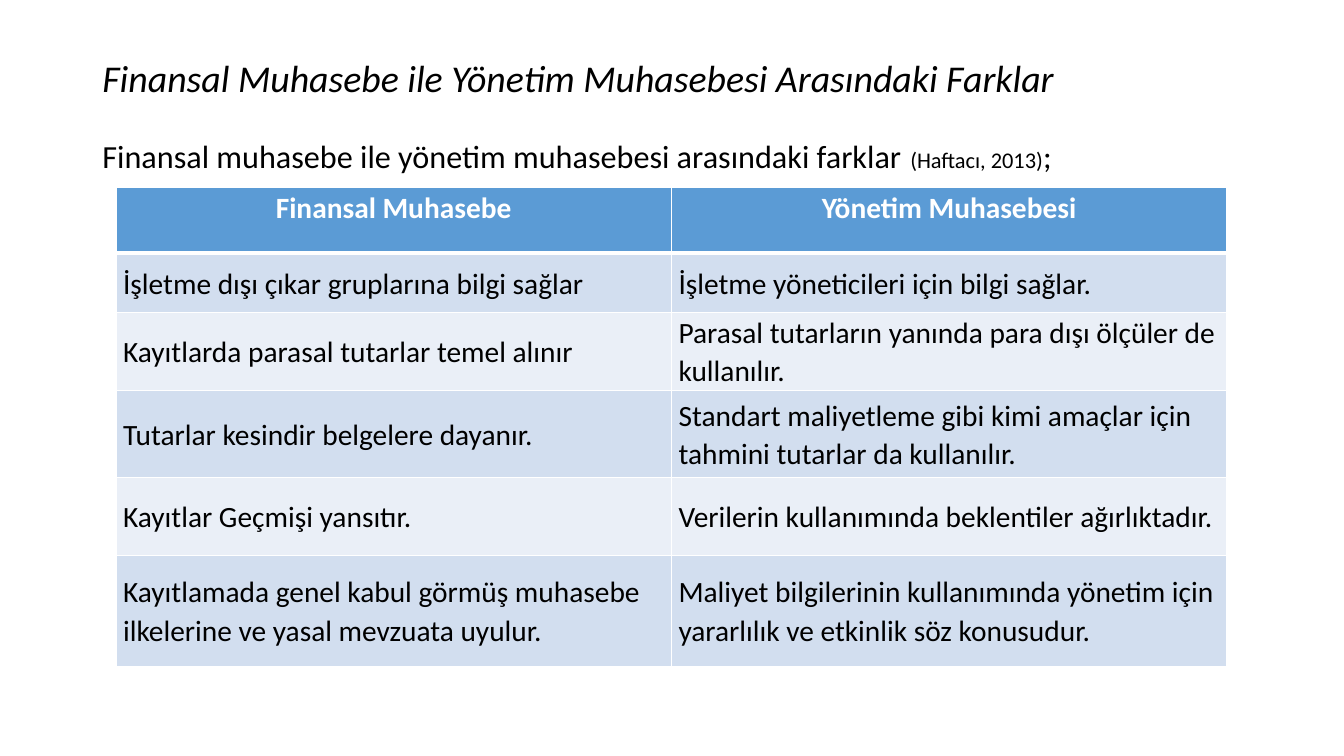
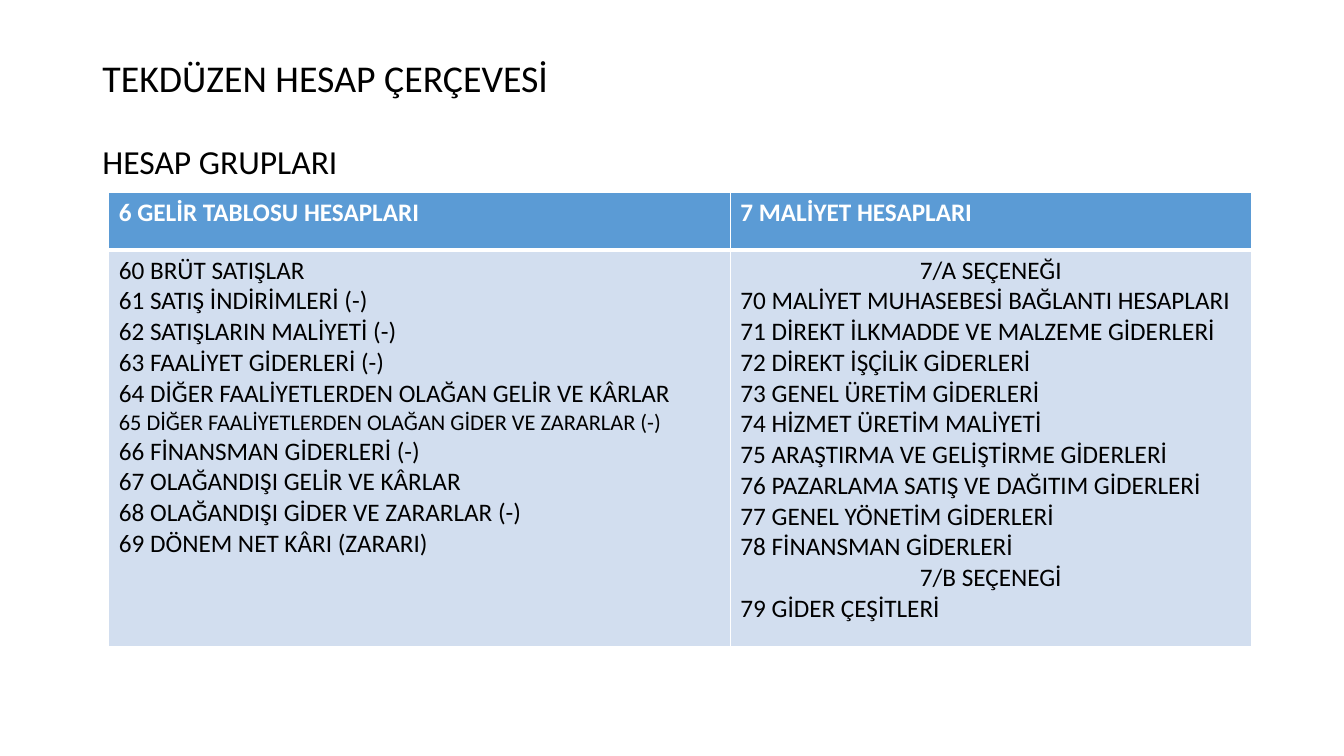
"""Build two slides of accounting tables: comparison of fields and account groups."""
from dataclasses import dataclass

from lxml import etree
from pptx import Presentation
from pptx.dml.color import RGBColor
from pptx.enum.text import MSO_ANCHOR, PP_ALIGN
from pptx.oxml.ns import qn
from pptx.util import Emu, Inches, Pt

LEFT, CENTER, JUSTIFY = PP_ALIGN.LEFT, PP_ALIGN.CENTER, PP_ALIGN.JUSTIFY
TOP, MIDDLE = MSO_ANCHOR.TOP, MSO_ANCHOR.MIDDLE
PAGE_WIDTH, PAGE_HEIGHT = Inches(13.333), Inches(7.5)


@dataclass(frozen=True)
class Theme:
    font: str = "Calibri"
    ink: str = "000000"
    paper: str = "FFFFFF"
    header: str = "5B9BD5"
    bands: tuple[str, str] = ("D2DEEF", "EAEFF7")
    title_size: int = 27
    note_size: int = 16
    thin_rule: int = 1
    thick_rule: int = 3


THEME = Theme()


@dataclass(frozen=True)
class Span:
    text: str
    size: int | None = None


@dataclass(frozen=True)
class Line:
    spans: tuple[Span, ...]
    align: PP_ALIGN | None = None


@dataclass(frozen=True)
class TextStyle:
    size: int
    align: PP_ALIGN = LEFT
    spacing: float = 1.0


@dataclass(frozen=True)
class Area:
    """Position and size in percent of the page."""
    left: float
    top: float
    width: float
    height: float


@dataclass(frozen=True)
class TableSpec:
    """Table whose lengths are percent of the page width or height."""
    left: float
    top: float
    columns: tuple[float, ...]
    rows: tuple[float, ...]
    cells: tuple[tuple, ...]
    size: int
    header_align: PP_ALIGN = LEFT
    body_anchor: MSO_ANCHOR = TOP
    spacing: float = 1.0
    side_margin: float = 0.75
    edge_margin: float = 0.67


@dataclass(frozen=True)
class PageSpec:
    title: str
    italic: bool
    lead: Line
    lead_style: TextStyle
    table: TableSpec


TITLE_AREA = Area(6.88, 5.33, 86.25, 10.67)
LEAD_AREA = Area(6.88, 17.95, 86.25, 72)


def across(percent: float) -> Emu:
    """Turn percent of the page width into a length."""
    return Emu(round(PAGE_WIDTH * percent / 100))


def down(percent: float) -> Emu:
    """Turn percent of the page height into a length."""
    return Emu(round(PAGE_HEIGHT * percent / 100))


def write_text(frame, lines: tuple, *, style: TextStyle, color: str = THEME.ink,
               bold: bool = False, italic: bool = False) -> None:
    """Fill a text frame with lines, given as plain strings or Line objects."""
    for index, entry in enumerate(lines):
        line = entry if isinstance(entry, Line) else Line((Span(entry),))
        para = frame.add_paragraph() if index else frame.paragraphs[0]
        para.alignment = style.align if line.align is None else line.align
        para.line_spacing = style.spacing
        for span in line.spans:
            run = para.add_run()
            run.text = span.text
            font = run.font
            font.name, font.size = THEME.font, Pt(span.size or style.size)
            font.bold, font.italic = bold, italic
            font.color.rgb = RGBColor.from_string(color)


def add_text_box(page, area: Area, line: Line | str, style: TextStyle,
                 anchor: MSO_ANCHOR = TOP, italic: bool = False) -> None:
    """Add one wrapped line of text in an area of the page."""
    box = page.shapes.add_textbox(across(area.left), down(area.top),
                                  across(area.width), down(area.height))
    box.text_frame.word_wrap = True
    box.text_frame.vertical_anchor = anchor
    write_text(box.text_frame, (line,), style=style, italic=italic)


def set_borders(cell, top: int, bottom: int) -> None:
    """Draw the four rules around a cell, with widths in points."""
    properties = cell._tc.get_or_add_tcPr()
    widths = {"L": THEME.thin_rule, "R": THEME.thin_rule, "T": top, "B": bottom}
    for side, width in widths.items():
        rule = etree.SubElement(properties, qn(f"a:ln{side}"), w=str(Pt(width)))
        fill = etree.SubElement(rule, qn("a:solidFill"))
        etree.SubElement(fill, qn("a:srgbClr"), val=THEME.paper)


def style_cell(cell, row: int, spec: TableSpec) -> None:
    """Give a cell its rules, band colour, margins and anchor."""
    set_borders(cell,
                top=THEME.thick_rule if row == 1 else THEME.thin_rule,
                bottom=THEME.thick_rule if row == 0 else THEME.thin_rule)
    color = THEME.bands[(row - 1) % 2] if row else THEME.header
    cell.fill.solid()
    cell.fill.fore_color.rgb = RGBColor.from_string(color)
    cell.margin_left = cell.margin_right = across(spec.side_margin)
    cell.margin_top = cell.margin_bottom = down(spec.edge_margin)
    cell.vertical_anchor = spec.body_anchor if row else TOP


def add_table(page, spec: TableSpec) -> None:
    """Add a table with a header row and banded body rows."""
    table = page.shapes.add_table(
        len(spec.rows), len(spec.columns), across(spec.left), down(spec.top),
        across(sum(spec.columns)), down(sum(spec.rows))).table
    table.horz_banding = False
    for column, width in zip(table.columns, spec.columns):
        column.width = across(width)
    for index, height in enumerate(spec.rows):
        table.rows[index].height = down(height)
        style = TextStyle(spec.size, LEFT if index else spec.header_align, spec.spacing)
        for column, content in enumerate(spec.cells[index]):
            cell = table.cell(index, column)
            style_cell(cell, index, spec)
            lines = (content,) if isinstance(content, str) else content
            write_text(cell.text_frame, lines, style=style, bold=index == 0,
                       color=THEME.ink if index else THEME.paper)


def add_page(deck, spec: PageSpec) -> None:
    """Add a page with title, lead line and table."""
    page = deck.slides.add_slide(deck.slide_layouts[6])
    add_text_box(page, TITLE_AREA, spec.title, TextStyle(THEME.title_size, spacing=0.9),
                 anchor=MIDDLE, italic=spec.italic)
    add_text_box(page, LEAD_AREA, spec.lead, spec.lead_style)
    add_table(page, spec.table)


COMPARISON = TableSpec(
    left=8.63, top=24.8, columns=(41.33, 41.33),
    rows=(8.67, 7.87, 10.27, 11.6, 10.27, 14.67),
    size=21, header_align=CENTER, body_anchor=MIDDLE, spacing=1.07,
    side_margin=0.53, edge_margin=0,
    cells=(
        ("Finansal Muhasebe", "Yönetim Muhasebesi"),
        ("İşletme dışı çıkar gruplarına bilgi sağlar",
         "İşletme yöneticileri için bilgi sağlar."),
        ("Kayıtlarda parasal tutarlar temel alınır",
         "Parasal tutarların yanında para dışı ölçüler de kullanılır."),
        ("Tutarlar kesindir belgelere dayanır.",
         "Standart maliyetleme gibi kimi amaçlar için tahmini tutarlar da kullanılır."),
        ("Kayıtlar Geçmişi yansıtır.",
         "Verilerin kullanımında beklentiler ağırlıktadır."),
        ("Kayıtlamada genel kabul görmüş muhasebe ilkelerine ve yasal mevzuata uyulur.",
         "Maliyet bilgilerinin kullanımında yönetim için yararlılık ve etkinlik söz konusudur."),
    ))

INCOME_ACCOUNTS = (
    "60 BRÜT SATIŞLAR",
    "61 SATIŞ İNDİRİMLERİ (-)",
    "62 SATIŞLARIN MALİYETİ (-)",
    "63 FAALİYET GİDERLERİ (-)",
    "64 DİĞER FAALİYETLERDEN OLAĞAN GELİR VE KÂRLAR",
    Line((Span("65 DİĞER FAALİYETLERDEN OLAĞAN GİDER VE ZARARLAR (-)", THEME.note_size),)),
    "66 FİNANSMAN GİDERLERİ (-)",
    "67 OLAĞANDIŞI GELİR VE KÂRLAR",
    "68 OLAĞANDIŞI GİDER VE ZARARLAR (-)",
    "69 DÖNEM NET KÂRI (ZARARI)",
)

COST_ACCOUNTS = (
    Line((Span("7/A SEÇENEĞI"),), CENTER),
    "70 MALİYET MUHASEBESİ BAĞLANTI HESAPLARI",
    "71 DİREKT İLKMADDE VE MALZEME GİDERLERİ",
    "72 DİREKT İŞÇİLİK GİDERLERİ",
    "73 GENEL ÜRETİM GİDERLERİ",
    "74 HİZMET ÜRETİM MALİYETİ",
    "75 ARAŞTIRMA VE GELİŞTİRME GİDERLERİ",
    "76 PAZARLAMA SATIŞ VE DAĞITIM GİDERLERİ",
    "77 GENEL YÖNETİM GİDERLERİ",
    "78 FİNANSMAN GİDERLERİ",
    Line((Span("7/B SEÇENEGİ"),), CENTER),
    "79 GİDER ÇEŞİTLERİ",
)

ACCOUNT_GROUPS = TableSpec(
    left=8.1, top=25.47, columns=(46.25, 38.75), rows=(7.6, 52.5), size=18,
    cells=(("6 GELİR TABLOSU HESAPLARI", "7 MALİYET HESAPLARI"),
           (INCOME_ACCOUNTS, COST_ACCOUNTS)))

PAGES = (
    PageSpec(
        title="Finansal Muhasebe ile Yönetim Muhasebesi Arasındaki Farklar", italic=True,
        lead=Line((Span("Finansal muhasebe ile yönetim muhasebesi arasındaki farklar "),
                   Span("(Haftacı, 2013)", THEME.note_size), Span(";"))),
        lead_style=TextStyle(23, JUSTIFY, 0.9), table=COMPARISON),
    PageSpec(
        title="TEKDÜZEN HESAP ÇERÇEVESİ", italic=False,
        lead=Line((Span("HESAP GRUPLARI"),)),
        lead_style=TextStyle(24), table=ACCOUNT_GROUPS),
)


def main() -> None:
    """Build and save the deck."""
    deck = Presentation()
    deck.slide_width, deck.slide_height = PAGE_WIDTH, PAGE_HEIGHT
    for spec in PAGES:
        add_page(deck, spec)
    deck.save("out.pptx")


if __name__ == "__main__":
    main()
